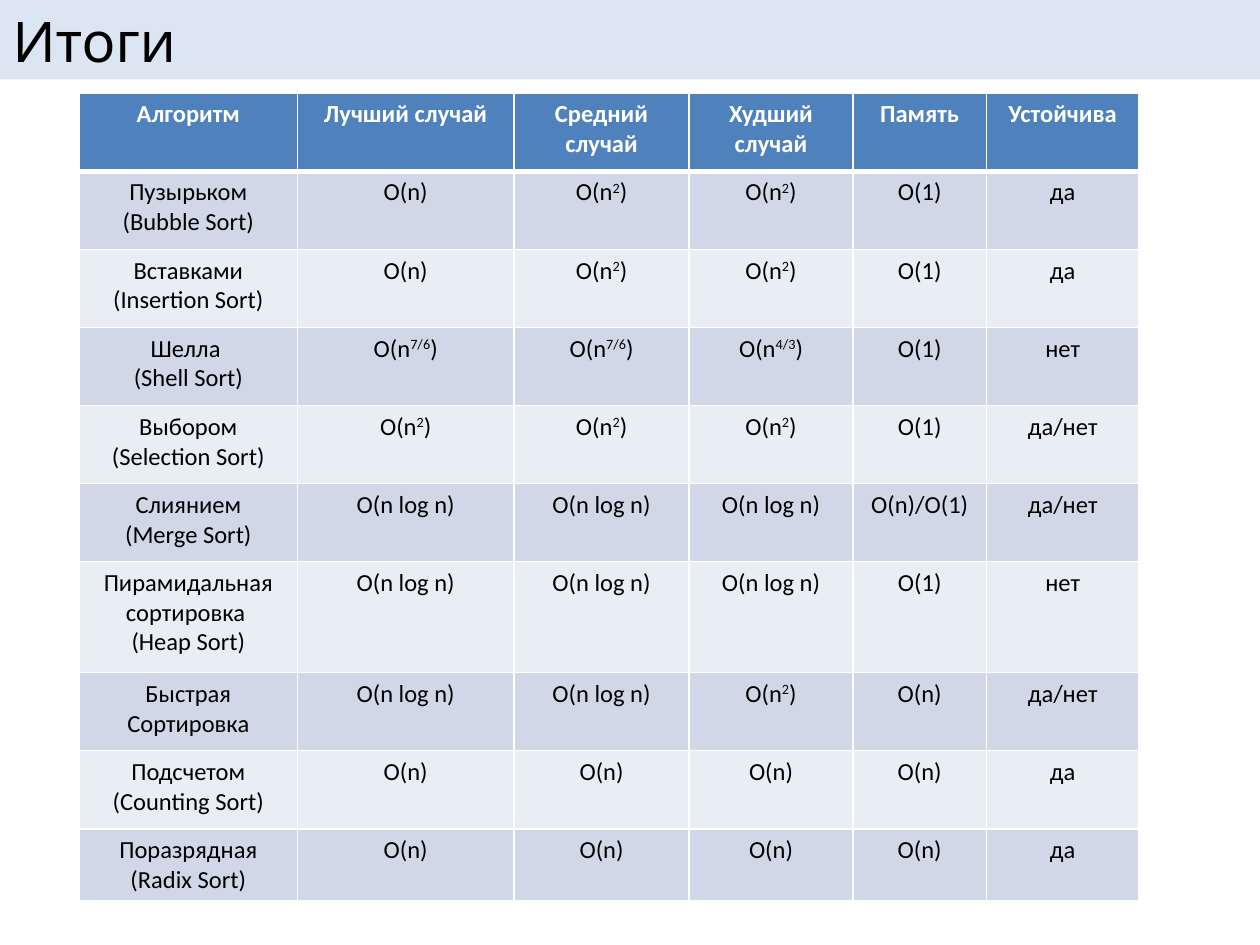
from dataclasses import dataclass

from lxml.etree import SubElement
from pptx import Presentation
from pptx.dml.color import RGBColor as RGB
from pptx.enum.text import MSO_ANCHOR as Anchor, PP_ALIGN as Align
from pptx.oxml.ns import qn
from pptx.util import Inches, Pt


@dataclass(frozen=True)
class Theme:
    title_font: str = "Karla"
    table_font: str = "Calibri"
    title_size: int = 32
    table_size: int = 14
    text: str = "000000"
    header_text: str = "FFFFFF"
    border: str = "FFFFFF"
    title_band: str = "DCE6F2"
    header: str = "4F81BD"
    stripes: tuple = ("D0D8E8", "E9EDF4")


THEME = Theme()
COLUMN_WIDTHS = [1.73, 1.72, 1.39, 1.3, 1.06, 1.21]
ROW_HEIGHT, HEAP_HEIGHT, LAST_HEIGHT = 0.62, 0.88, 0.57
ROW_HEIGHTS = [ROW_HEIGHT] * 6 + [HEAP_HEIGHT] + [ROW_HEIGHT] * 2 + [LAST_HEIGHT]

# Carets enclose superscripts.
SQUARE = "O(n^2^)"
SHELL = "O(n^7/6^)"
N_LOG_N = "O(n log n)"
HEADINGS = ["Алгоритм", "Лучший случай", "Средний случай", "Худший случай",
            "Память", "Устойчива"]
ALGORITHMS = [
    ["Пузырьком (Bubble Sort)", "O(n)", SQUARE, SQUARE, "O(1)", "да"],
    ["Вставками (Insertion Sort)", "O(n)", SQUARE, SQUARE, "O(1)", "да"],
    ["Шелла \n(Shell Sort)", SHELL, SHELL, "O(n^4/3^)", "O(1)", "нет"],
    ["Выбором (Selection Sort)", SQUARE, SQUARE, SQUARE, "O(1)", "да/нет"],
    ["Слиянием\n(Merge Sort)", N_LOG_N, N_LOG_N, N_LOG_N, "O(n)/O(1)", "да/нет"],
    ["Пирамидальная сортировка \n(Heap Sort)", N_LOG_N, N_LOG_N, N_LOG_N,
     "O(1)", "нет"],
    ["Быстрая Сортировка", N_LOG_N, N_LOG_N, SQUARE, "O(n)", "да/нет"],
    ["Подсчетом (Counting Sort)", "O(n)", "O(n)", "O(n)", "O(n)", "да"],
    ["Поразрядная (Radix Sort)", "O(n)", "O(n)", "O(n)", "O(n)", "да"],
]


def set_font(paragraph, name, size, color, bold=False):
    font = paragraph.font
    font.name, font.size, font.bold = name, Pt(size), bold
    font.color.rgb = RGB.from_string(color)


def add_title(slide, text):
    title = slide.shapes.title
    title.left, title.top = Inches(0), Inches(0)
    title.width, title.height = Inches(10), Inches(0.63)
    title.fill.solid()
    title.fill.fore_color.rgb = RGB.from_string(THEME.title_band)
    title.text_frame.text = text
    title.text_frame.vertical_anchor = Anchor.MIDDLE
    paragraph = title.text_frame.paragraphs[0]
    paragraph.alignment = Align.LEFT
    set_font(paragraph, THEME.title_font, THEME.title_size, THEME.text)


def write_formula(paragraph, formula):
    """Write the text, raising the parts enclosed in carets."""
    for index, part in enumerate(formula.split("^")):
        run = paragraph.add_run()
        run.text = part
        if index % 2:
            run._r.get_or_add_rPr().set("baseline", "30000")


def set_borders(cell, top, bottom):
    properties = cell._tc.get_or_add_tcPr()
    for side, points in (("L", 1), ("R", 1), ("T", top), ("B", bottom)):
        line = SubElement(properties, qn(f"a:ln{side}"), w=str(Pt(points)))
        fill = SubElement(line, qn("a:solidFill"))
        SubElement(fill, qn("a:srgbClr"), val=THEME.border)


def fill_cell(cell, text, row):
    is_header = row == 0
    set_borders(cell, top=3 if row == 1 else 1, bottom=3 if is_header else 1)
    cell.fill.solid()
    background = THEME.header if is_header else THEME.stripes[(row - 1) % 2]
    cell.fill.fore_color.rgb = RGB.from_string(background)
    frame = cell.text_frame
    for index, line in enumerate(text.split("\n")):
        paragraph = frame.add_paragraph() if index else frame.paragraphs[0]
        paragraph.alignment = Align.CENTER
        set_font(paragraph, THEME.table_font, THEME.table_size,
                 THEME.header_text if is_header else THEME.text, is_header)
        write_formula(paragraph, line)


def add_comparison(slide, rows):
    table = slide.shapes.add_table(
        len(rows), len(COLUMN_WIDTHS), Inches(0.63), Inches(0.74),
        Inches(sum(COLUMN_WIDTHS)), Inches(sum(ROW_HEIGHTS))).table
    for column, width in zip(table.columns, COLUMN_WIDTHS):
        column.width = Inches(width)
    for row, height in zip(table.rows, ROW_HEIGHTS):
        row.height = Inches(height)
    for row, texts in enumerate(rows):
        for column, text in enumerate(texts):
            fill_cell(table.cell(row, column), text, row)


def main():
    presentation = Presentation()
    presentation.slide_width, presentation.slide_height = Inches(10), Inches(7.5)
    title_only = presentation.slide_layouts[5]
    slide = presentation.slides.add_slide(title_only)
    add_title(slide, "Итоги")
    add_comparison(slide, [HEADINGS] + ALGORITHMS)
    presentation.save("out.pptx")


if __name__ == "__main__":
    main()
